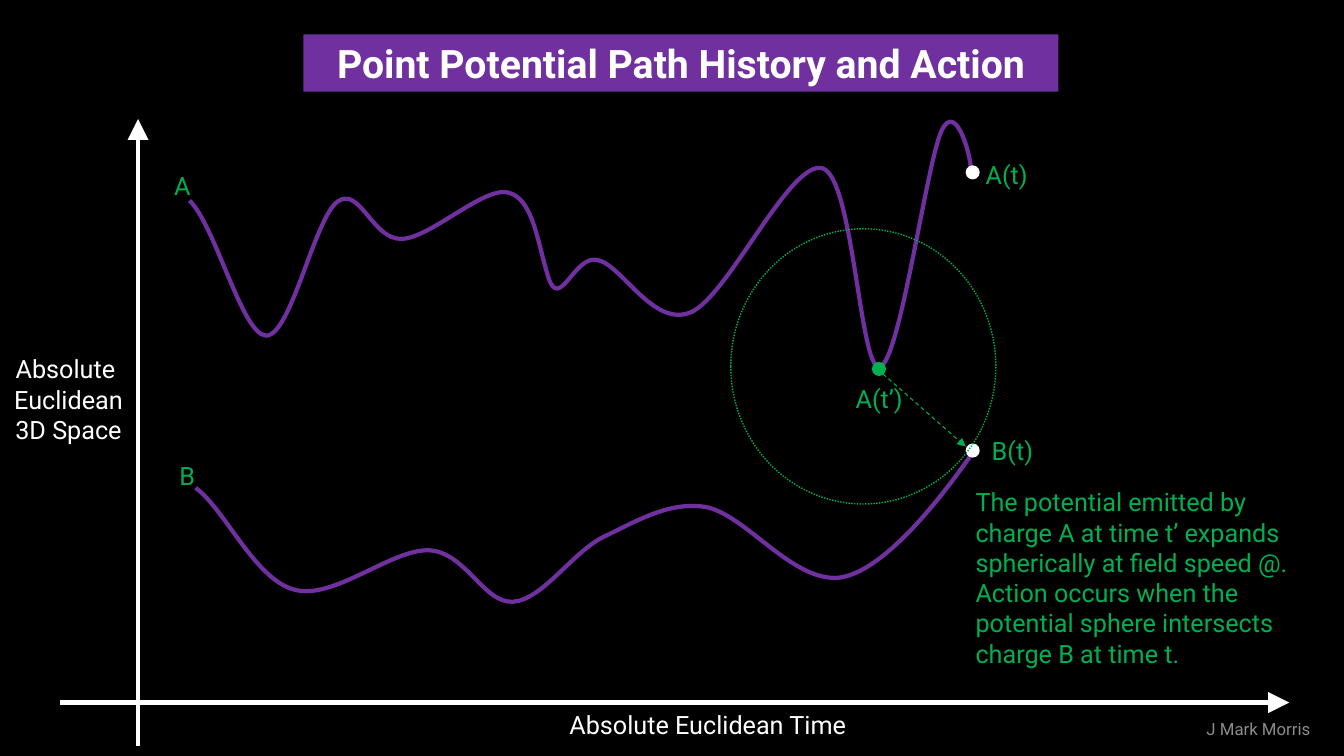
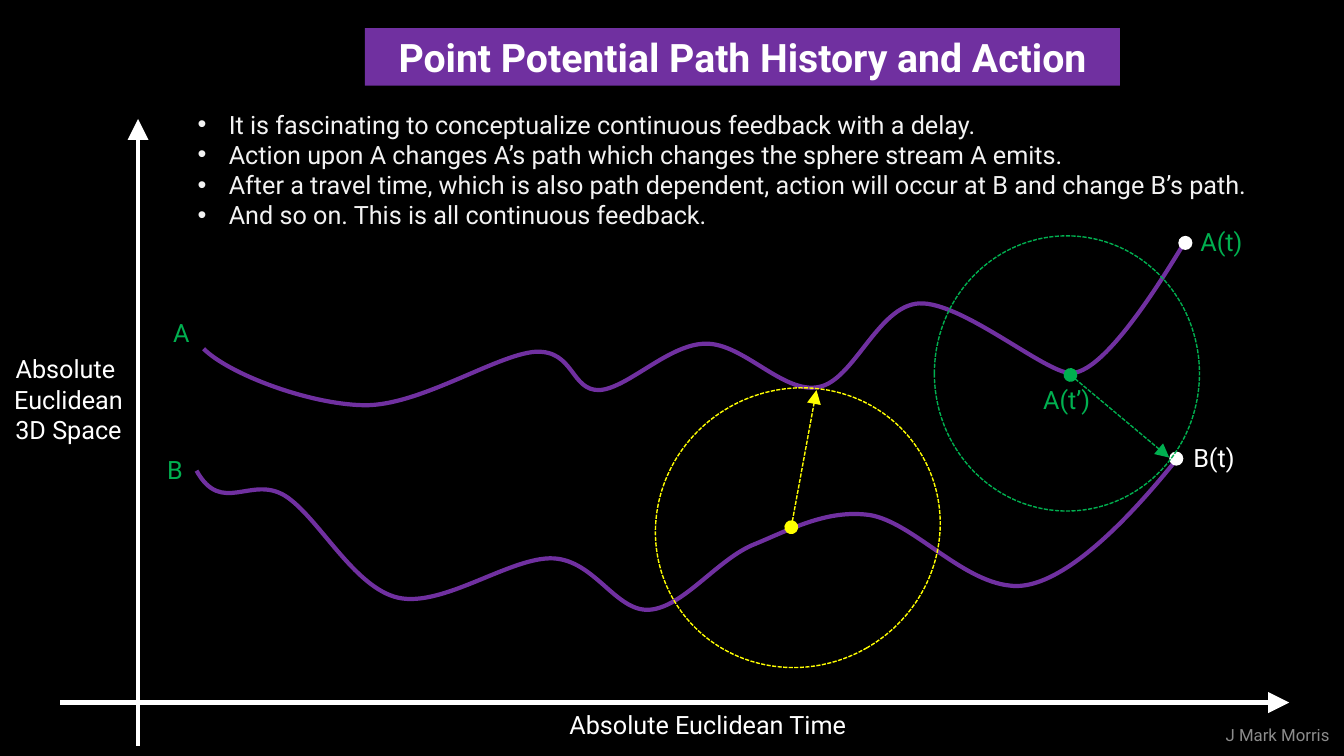
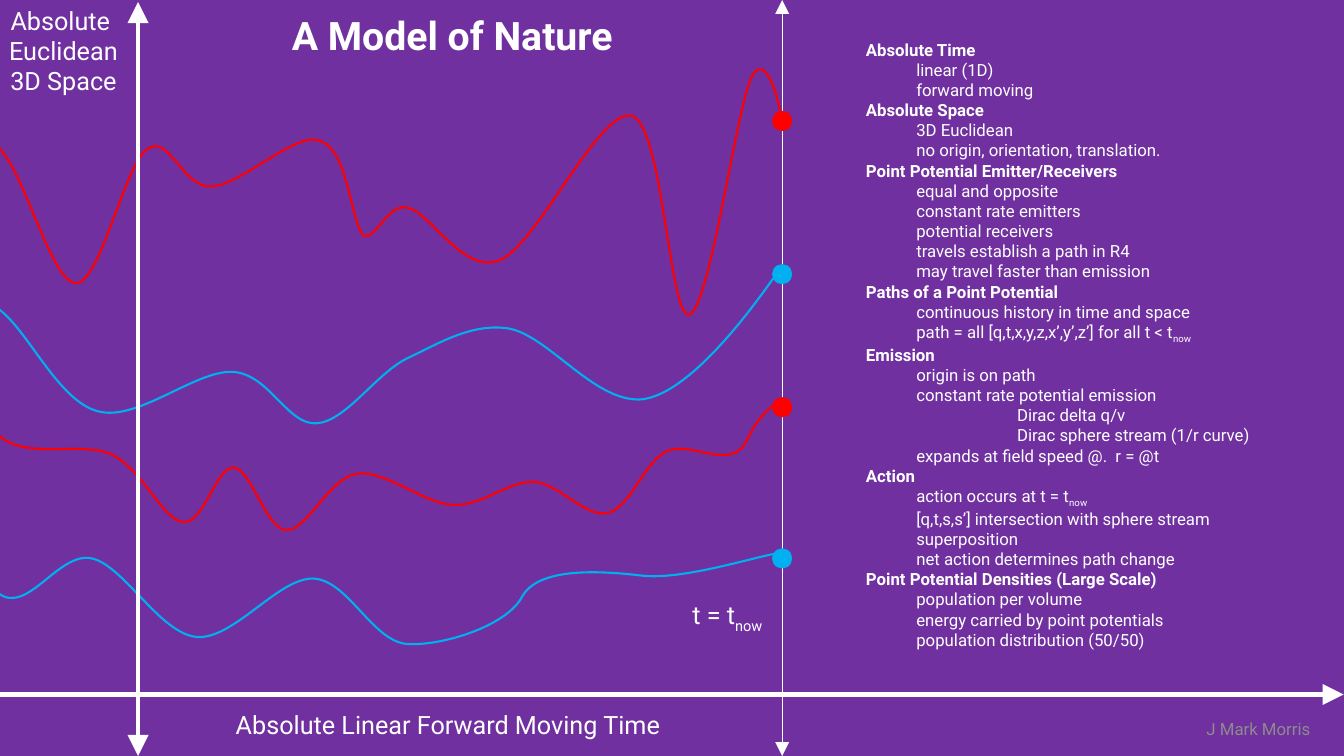
from dataclasses import dataclass

from lxml import etree
from pptx import Presentation
from pptx.dml.color import RGBColor
from pptx.enum.dml import MSO_LINE
from pptx.enum.shapes import MSO_CONNECTOR, MSO_SHAPE
from pptx.enum.text import MSO_ANCHOR, MSO_AUTO_SIZE, PP_ALIGN
from pptx.oxml.ns import qn
from pptx.slide import Slide
from pptx.util import Inches, Pt

LEFT, CENTER = PP_ALIGN.LEFT, PP_ALIGN.CENTER
TOP, MIDDLE = MSO_ANCHOR.TOP, MSO_ANCHOR.MIDDLE
DASH, DOTS, SHORT = MSO_LINE.DASH, MSO_LINE.ROUND_DOT, MSO_LINE.SQUARE_DOT
OVAL, STRAIGHT = MSO_SHAPE.OVAL, MSO_CONNECTOR.STRAIGHT
FIT_NONE = MSO_AUTO_SIZE.NONE

FONT = "Roboto"
BLACK, WHITE, PALE, GREY = "000000", "FFFFFF", "F2F2F2", "8C8C8C"
PURPLE, GREEN, YELLOW = "7030A0", "00B050", "FFFF00"
RED, BLUE = "FF0000", "00B0F0"
STEPS = 20  # samples per segment when measuring a wave
TITLE_ONLY, TITLE_BODY = 5, 1
ACTION = "Point Potential Path History and Action"
SPACE = ["Absolute ", "Euclidean", "3D Space"]

Point = tuple[float, float]

# Each wave is a start point, then two control points and an end per segment.
PEAKS: list[Point] = [
    (1.88, 1.99),
    (2.14, 2.24), (2.4, 3.32), (2.64, 3.33),
    (2.89, 3.33), (3.12, 2.16), (3.35, 2),
    (3.57, 1.84), (3.7, 2.39), (3.99, 2.37),
    (4.27, 2.36), (4.8, 1.85), (5.04, 1.91),
    (5.29, 1.97), (5.33, 2.4), (5.44, 2.75),
    (5.55, 3.1), (5.7, 2.52), (5.93, 2.58),
    (6.17, 2.63), (6.48, 3.25), (6.85, 3.1),
    (7.22, 2.95), (7.84, 1.58), (8.16, 1.67),
    (8.47, 1.76), (8.53, 3.7), (8.73, 3.64),
    (8.93, 3.58), (9.19, 1.63), (9.34, 1.3),
    (9.49, 0.97), (9.65, 1.62), (9.63, 1.69),
]
SWELL: list[Point] = [
    (1.94, 4.84),
    (2.23, 5.05), (2.53, 5.75), (2.92, 5.85),
    (3.31, 5.96), (3.89, 5.44), (4.26, 5.46),
    (4.62, 5.48), (4.8, 5.99), (5.09, 5.97),
    (5.38, 5.95), (5.67, 5.49), (5.98, 5.33),
    (6.3, 5.18), (6.63, 4.97), (7, 5.03),
    (7.37, 5.1), (7.79, 5.68), (8.22, 5.73),
    (8.81, 5.82), (9.71, 4.38), (9.69, 4.44),
]
UPPER: list[Point] = [
    (2.02, 3.46),
    (2.27, 3.71), (3.06, 4.01), (3.61, 4.02),
    (4.16, 4.03), (4.92, 3.52), (5.31, 3.49),
    (5.7, 3.47), (5.66, 3.88), (5.95, 3.87),
    (6.23, 3.85), (6.64, 3.41), (7, 3.41),
    (7.37, 3.4), (7.77, 3.91), (8.12, 3.84),
    (8.47, 3.78), (8.71, 3.03), (9.12, 3.01),
    (9.54, 2.99), (10.37, 3.7), (10.62, 3.7),
    (11.02, 3.72), (11.78, 2.33), (11.76, 2.4),
]
LOWER: list[Point] = [
    (1.95, 4.67),
    (2.2, 5.12), (2.49, 4.71), (2.83, 4.92),
    (3.16, 5.13), (3.51, 5.83), (3.95, 5.93),
    (4.4, 6.03), (5.07, 5.52), (5.49, 5.54),
    (5.9, 5.56), (6.11, 6.07), (6.44, 6.05),
    (6.77, 6.03), (7.1, 5.57), (7.46, 5.41),
    (7.83, 5.26), (8.2, 5.05), (8.63, 5.11),
    (9.05, 5.18), (9.53, 5.76), (10.02, 5.81),
    (10.7, 5.9), (11.73, 4.46), (11.71, 4.52),
]
RIPPLE: list[Point] = [
    (-0.01, 4.32),
    (0.25, 4.57), (0.81, 4.37), (1.11, 4.51),
    (1.42, 4.66), (1.61, 5.16), (1.82, 5.18),
    (2.02, 5.2), (2.15, 4.62), (2.32, 4.64),
    (2.49, 4.65), (2.64, 5.25), (2.84, 5.26),
    (3.04, 5.27), (3.27, 4.74), (3.54, 4.7),
    (3.82, 4.66), (4.21, 5), (4.5, 5.01),
    (4.79, 5.02), (5.04, 4.77), (5.3, 4.78),
    (5.55, 4.8), (5.81, 5.14), (6.03, 5.09),
    (6.25, 5.04), (6.38, 4.6), (6.61, 4.48),
    (6.84, 4.36), (7.26, 4.69), (7.41, 4.37),
    (7.56, 4.04), (7.76, 3.96), (7.75, 4.02),
]
DRIFT: list[Point] = [
    (-0.01, 5.89),
    (0.28, 6.1), (0.58, 5.47), (0.91, 5.54),
    (1.23, 5.61), (1.58, 6.28), (1.95, 6.32),
    (2.32, 6.35), (2.76, 5.73), (3.11, 5.74),
    (3.46, 5.76), (3.69, 6.36), (4.04, 6.39),
    (4.39, 6.41), (5.03, 6.21), (5.18, 5.92),
    (5.34, 5.63), (5.93, 5.66), (6.36, 5.71),
    (6.83, 5.77), (7.76, 5.43), (7.75, 5.5),
]

FEEDBACK = [
    "It is fascinating to conceptualize continuous feedback with a delay.",
    "Action upon A changes A’s path which changes the sphere stream A emits.",
    "After a travel time, which is also path dependent, action will occur at B and change B’s path.",
    "And so on. This is all continuous feedback.",
]
# Text after a bar is set as a subscript.
MODEL = {
    "Absolute Time": ["linear (1D)", "forward moving"],
    "Absolute Space": ["3D Euclidean", "no origin, orientation, translation."],
    "Point Potential Emitter/Receivers": [
        "equal and opposite",
        "constant rate emitters",
        "potential receivers",
        "travels establish a path in R4",
        "may travel faster than emission",
    ],
    "Paths of a Point Potential": [
        "continuous history in time and space",
        "path = all [q,t,x,y,z,x’,y’,z’] for all t < t|now",
    ],
    "Emission": [
        "origin is on path",
        "constant rate potential emission",
        "\tDirac delta q/v",
        "\tDirac sphere stream (1/r curve)",
        "expands at field speed @.  r = @t",
    ],
    "Action": [
        "action occurs at t = t|now",
        "[q,t,s,s’] intersection with sphere stream",
        "superposition",
        "net action determines path change",
    ],
    "Point Potential Densities (Large Scale)": [
        "population per volume",
        "energy carried by point potentials",
        "population distribution (50/50)",
    ],
}


@dataclass
class Box:
    left: float
    top: float
    width: float
    height: float


@dataclass
class Note:
    lines: list[str]
    box: Box
    color: str = GREEN
    size: int = 18
    align: PP_ALIGN = LEFT
    anchor: MSO_ANCHOR = TOP


@dataclass
class Arrow:
    start: Point
    end: Point
    color: str = WHITE
    weight: float = 3
    dash: MSO_LINE | None = None
    head: str = "none"
    size: str = "lg"


@dataclass
class Item:
    text: str
    indent: float = 0
    bullet: bool = False
    bold: bool = False


def rgb(color: str) -> RGBColor:
    return RGBColor.from_string(color)


def place(shape, box: Box) -> None:
    shape.left, shape.top = Inches(box.left), Inches(box.top)
    shape.width, shape.height = Inches(box.width), Inches(box.height)


def write(para, text: str, size: int, color: str, bold: bool = False) -> None:
    """Add the text, with any part after a bar as a subscript run."""
    main, _, sub = text.partition("|")
    for part in filter(None, (main, sub)):
        run = para.add_run()
        run.text = part
        font = run.font
        font.name, font.size, font.bold = FONT, Pt(size), bold
        font.color.rgb = rgb(color)
        if part is sub:
            run._r.get_or_add_rPr().set("baseline", "-25000")


def lines(frame, count: int) -> list:
    """Return the frame's first paragraph and enough new ones."""
    return [frame.paragraphs[0]] + [frame.add_paragraph() for _ in range(count - 1)]


def add_page(deck, layout: int, back: str, title: str, box: Box) -> Slide:
    page = deck.slides.add_slide(deck.slide_layouts[layout])
    page.background.fill.solid()
    page.background.fill.fore_color.rgb = rgb(back)
    shape = page.shapes.title
    place(shape, box)
    shape.fill.solid()
    shape.fill.fore_color.rgb = rgb(PURPLE)
    frame = shape.text_frame
    frame.auto_size, frame.word_wrap = FIT_NONE, False
    frame.vertical_anchor = MIDDLE
    frame.paragraphs[0].alignment = CENTER
    write(frame.paragraphs[0], title, 28, WHITE, True)
    return page


def add_list(page: Slide, items: list[Item], box: Box, size: int, color: str) -> None:
    body = page.placeholders[1]
    place(body, box)
    frame = body.text_frame
    frame.auto_size, frame.word_wrap = FIT_NONE, True
    for para, item in zip(lines(frame, len(items)), items):
        para.space_before = Pt(0)
        props = para._p.get_or_add_pPr()
        props.set("marL", str(Inches(item.indent)))
        props.set("indent", str(-Inches(item.indent) if item.bullet else 0))
        props.set("defTabSz", str(Inches(1)))
        if item.bullet:
            etree.SubElement(props, qn("a:buFont")).set("typeface", "Arial")
            etree.SubElement(props, qn("a:buChar")).set("char", "•")
        else:
            etree.SubElement(props, qn("a:buNone"))
        write(para, item.text, size, color, item.bold)


def add_note(page: Slide, note: Note) -> None:
    shape = page.shapes.add_textbox(0, 0, 0, 0)
    place(shape, note.box)
    frame = shape.text_frame
    frame.word_wrap, frame.vertical_anchor = True, note.anchor
    for para, text in zip(lines(frame, len(note.lines)), note.lines):
        para.alignment = note.align
        write(para, text, note.size, note.color)


def add_label(page: Slide, text: str, left: float, top: float, color: str = GREEN) -> None:
    add_note(page, Note([text], Box(left, top, 0.72, 0.4), color))


def add_credit(page: Slide, left: float, top: float) -> None:
    add_note(page, Note(["J Mark Morris"], Box(left, top, 1.25, 0.4), GREY, 12, CENTER, MIDDLE))


def add_arrow(page: Slide, arrow: Arrow) -> None:
    ends = [Inches(n) for n in (*arrow.start, *arrow.end)]
    shape = page.shapes.add_connector(STRAIGHT, *ends)
    shape.line.color.rgb = rgb(arrow.color)
    shape.line.width = Pt(arrow.weight)
    if arrow.dash:
        shape.line.dash_style = arrow.dash
    for tag, kind in (("a:headEnd", arrow.head), ("a:tailEnd", "triangle")):
        tip = etree.SubElement(shape.line._get_or_add_ln(), qn(tag))
        tip.set("type", kind)
        tip.set("w", arrow.size)
        tip.set("len", arrow.size)
    etree.SubElement(shape._element.spPr, qn("a:effectLst"))


def add_dot(page: Slide, x: float, y: float, color: str, size: float = 0.14) -> None:
    """Draw a filled dot centred on x, y."""
    shape = page.shapes.add_shape(OVAL, 0, 0, 0, 0)
    place(shape, Box(x - size / 2, y - size / 2, size, size))
    shape.shadow.inherit = False
    shape.fill.solid()
    shape.fill.fore_color.rgb = rgb(color)
    shape.line.fill.background()


def add_sphere(page: Slide, box: Box, color: str, dash: MSO_LINE, turn: float = 0) -> None:
    shape = page.shapes.add_shape(OVAL, 0, 0, 0, 0)
    place(shape, box)
    shape.rotation = turn
    shape.shadow.inherit = False
    shape.fill.background()
    shape.line.color.rgb = rgb(color)
    shape.line.width = Pt(1)
    shape.line.dash_style = dash


def blend(a: float, b: float, c: float, d: float, t: float) -> float:
    """Give the cubic Bezier value at t."""
    s = 1 - t
    return s**3 * a + 3 * s * s * t * b + 3 * s * t * t * c + t**3 * d


def span(axis: tuple[float, ...]) -> tuple[float, float]:
    """Give the start and length of a wave along one axis."""
    marks = [
        blend(*axis[i:i + 4], step / STEPS)
        for i in range(0, len(axis) - 1, 3)
        for step in range(STEPS + 1)
    ]
    return min(marks), max(marks) - min(marks)


def add_wave(page: Slide, wave: list[Point], color: str, weight: float,
             dx: float = 0, dy: float = 0) -> None:
    (left, width), (top, height) = (span(axis) for axis in zip(*wave))
    pen = page.shapes.build_freeform(*wave[0], scale=Inches(1))
    pen.add_line_segments(wave[3::3], close=False)
    shape = pen.convert_to_shape()
    place(shape, Box(left + dx, top + dy, width, height))
    track = next(shape._element.iter(qn("a:path")))
    track.clear()
    track.set("w", str(shape.width))
    track.set("h", str(shape.height))
    parts = [("a:moveTo", wave[:1])]
    parts += [("a:cubicBezTo", wave[i:i + 3]) for i in range(1, len(wave), 3)]
    for tag, knots in parts:
        move = etree.SubElement(track, qn(tag))
        for x, y in knots:
            knot = etree.SubElement(move, qn("a:pt"))
            knot.set("x", str(Inches(x - left)))
            knot.set("y", str(Inches(y - top)))
    shape.shadow.inherit = False
    shape.fill.background()
    shape.line.color.rgb = rgb(color)
    shape.line.width = Pt(weight)


def add_axes(page: Slide) -> None:
    add_arrow(page, Arrow((0.6, 6.97), (12.79, 6.97)))
    add_arrow(page, Arrow((1.37, 7.4), (1.37, 1.18)))
    add_note(page, Note(["Absolute Euclidean Time"], Box(5.55, 6.99, 2.99, 0.4), WHITE))
    add_note(page, Note(SPACE, Box(0.03, 3.46, 1.3, 1.01), WHITE, align=CENTER))


def draw_action(deck) -> None:
    page = add_page(deck, TITLE_ONLY, BLACK, ACTION, Box(3.01, 0.34, 7.49, 0.57))
    add_credit(page, 11.86, 7.03)
    add_wave(page, PEAKS, PURPLE, 3)
    add_wave(page, SWELL, PURPLE, 3)
    add_dot(page, 9.65, 1.71, WHITE)
    add_dot(page, 9.65, 4.47, WHITE)
    add_arrow(page, Arrow((8.76, 3.71), (9.58, 4.43), GREEN, 0.75, DASH, size="med"))
    add_sphere(page, Box(7.25, 2.27, 2.63, 2.73), GREEN, DOTS)
    add_dot(page, 8.72, 3.66, GREEN)
    add_note(page, Note([
        "The potential emitted by charge A at time t’ expands spherically at field speed @.",
        "Action occurs when the potential sphere intersects charge B at time t.",
    ], Box(9.58, 4.78, 3.46, 1.92)))
    add_label(page, "A(t’)", 8.39, 3.75)
    add_label(page, "A(t)", 9.68, 1.53)
    add_label(page, "B(t)", 9.74, 4.27)
    add_label(page, "A", 1.63, 1.64)
    add_label(page, "B", 1.68, 4.52)
    add_axes(page)


def draw_feedback(deck) -> None:
    page = add_page(deck, TITLE_BODY, BLACK, ACTION, Box(3.62, 0.28, 7.49, 0.57))
    items = [Item(text, 0.31, bullet=True) for text in FEEDBACK]
    add_list(page, items, Box(1.86, 1.03, 10.92, 1.31), 18, PALE)
    add_credit(page, 12.05, 7.09)
    add_wave(page, UPPER, PURPLE, 3)
    add_wave(page, LOWER, PURPLE, 3)
    add_dot(page, 11.67, 4.55, WHITE)
    add_label(page, "B(t)", 11.74, 4.34, WHITE)
    add_arrow(page, Arrow((10.62, 3.72), (11.6, 4.54), GREEN, 1, SHORT, "oval"))
    add_sphere(page, Box(9.27, 2.34, 2.63, 2.73), GREEN, SHORT)
    add_label(page, "A(t’)", 10.25, 3.76)
    add_arrow(page, Arrow((7.85, 5.23), (8.1, 3.87), YELLOW, 1, SHORT, "oval"))
    add_sphere(page, Box(6.54, 3.81, 2.75, 2.85), YELLOW, SHORT, 240)
    add_dot(page, 11.76, 2.41, WHITE)
    add_label(page, "A(t)", 11.81, 2.2)
    add_label(page, "A", 1.62, 3.1)
    add_label(page, "B", 1.56, 4.46)
    add_axes(page)


def draw_model(deck) -> None:
    page = add_page(deck, TITLE_BODY, PURPLE, "A Model of Nature", Box(2.69, 0.06, 3.59, 0.57))
    items = []
    for head, facts in MODEL.items():
        items.append(Item(head, bold=True))
        items += [Item(fact, 0.5) for fact in facts]
    add_list(page, items, Box(8.49, 0.34, 4.53, 6.16), 12, WHITE)
    add_arrow(page, Arrow((7.76, 0), (7.76, 7.5), weight=0.5, head="triangle"))
    add_credit(page, 11.86, 7.03)
    add_wave(page, PEAKS, RED, 1.5, -1.89, -0.52)
    add_wave(page, SWELL, BLUE, 1.5, -1.95, -1.77)
    add_wave(page, RIPPLE, RED, 1.5)
    add_wave(page, DRIFT, BLUE, 1.5)
    for y, color in ((1.2, RED), (2.72, BLUE), (4.04, RED), (5.54, BLUE)):
        add_dot(page, 7.76, y, color, 0.2)
    add_arrow(page, Arrow((0, 6.89), (13.33, 6.89)))
    add_arrow(page, Arrow((1.37, 7.5), (1.37, 0.02), head="triangle"))
    add_note(page, Note(["Absolute Linear Forward Moving Time"], Box(2.24, 6.99, 4.48, 0.48), WHITE))
    add_note(page, Note(SPACE, Box(-0.02, 0, 1.3, 1.2), WHITE, align=CENTER))
    add_note(page, Note(["t = t|now"], Box(6.77, 5.9, 0.97, 0.4), WHITE))


def main() -> None:
    deck = Presentation()
    deck.slide_width, deck.slide_height = Inches(40 / 3), Inches(7.5)
    draw_action(deck)
    draw_feedback(deck)
    draw_model(deck)
    deck.save("out.pptx")


if __name__ == "__main__":
    main()
